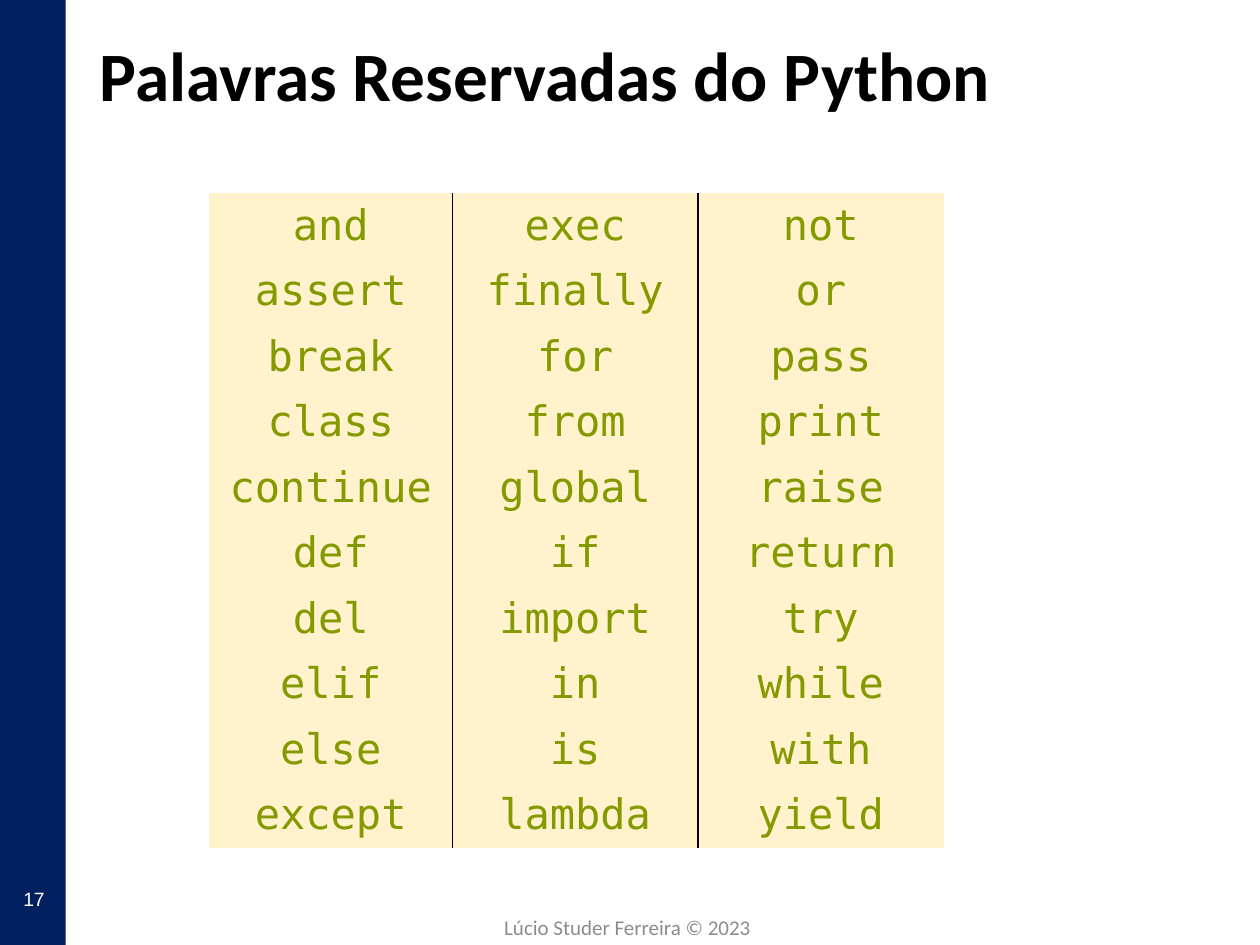
from lxml.etree import SubElement
from pptx import Presentation
from pptx.dml.color import RGBColor
from pptx.enum.shapes import MSO_SHAPE
from pptx.enum.text import MSO_ANCHOR, PP_ALIGN
from pptx.oxml.ns import qn
from pptx.util import Inches, Pt

NAVY = RGBColor(0x00, 0x20, 0x60)
WHITE = RGBColor(0xFF, 0xFF, 0xFF)
BLACK = RGBColor(0x00, 0x00, 0x00)
GREY = RGBColor(0x8C, 0x8C, 0x8C)
CREAM = RGBColor(0xFF, 0xF2, 0xCC)
OLIVE = RGBColor(0x85, 0x99, 0x00)

NO_STYLE_NO_GRID = "{2D5ABB26-0587-4C30-8999-92F81FD0307C}"
COLUMN_WIDTHS = (1.93, 1.95, 1.95)
KEYWORD_COLUMNS = (
    "and assert break class continue def del elif else except".split(),
    "exec finally for from global if import in is lambda".split(),
    "not or pass print raise return try while with yield".split(),
)


def write(frame, text, font, size, color, align=PP_ALIGN.CENTER, bold=False):
    frame.text = text
    para = frame.paragraphs[0]
    para.alignment = align
    span = para.runs[0]
    span.font.name = font
    span.font.size = Pt(size)
    span.font.bold = bold
    span.font.color.rgb = color
    return para


def add_side_band(slide, left, top, width, height):
    band = slide.shapes.add_shape(
        MSO_SHAPE.ROUNDED_RECTANGLE, Inches(left), Inches(top), Inches(width), Inches(height))
    band.adjustments[0] = 0
    band.shadow.inherit = False
    band.fill.solid()
    band.fill.fore_color.rgb = NAVY
    band.line.fill.background()


def add_label(slide, left, top, width, height, text, font, size, color, anchor):
    box = slide.shapes.add_textbox(Inches(left), Inches(top), Inches(width), Inches(height))
    box.text_frame.word_wrap = True
    box.text_frame.vertical_anchor = anchor
    return write(box.text_frame, text, font, size, color)


def place_title(slide, left, top, width, height, text):
    title = slide.shapes.title
    title.left, title.top = Inches(left), Inches(top)
    title.width, title.height = Inches(width), Inches(height)
    title.text_frame.vertical_anchor = MSO_ANCHOR.MIDDLE
    para = write(title.text_frame, text, "Calibri", 39.6, BLACK, PP_ALIGN.LEFT, bold=True)
    para.line_spacing = 0.9


def add_side_border(cell, tag, position):
    """Draw a thin black line on one side of a cell."""
    properties = cell._tc.get_or_add_tcPr()
    line = properties.makeelement(qn(tag), {"w": str(Pt(1))})
    fill = SubElement(line, qn("a:solidFill"))
    SubElement(fill, qn("a:srgbClr"), val=str(BLACK))
    properties.insert(position, line)


def add_keyword_table(slide, left, top, width, height):
    row_count, column_count = len(KEYWORD_COLUMNS[0]), len(KEYWORD_COLUMNS)
    table = slide.shapes.add_table(
        row_count, column_count, Inches(left), Inches(top), Inches(width), Inches(height)).table
    table.first_row = table.horz_banding = False
    table._tbl.tblPr.find(qn("a:tableStyleId")).text = NO_STYLE_NO_GRID

    for column, column_width in zip(table.columns, COLUMN_WIDTHS):
        column.width = Inches(column_width)
    for column, keywords in enumerate(KEYWORD_COLUMNS):
        for row, keyword in enumerate(keywords):
            cell = table.cell(row, column)
            cell.margin_left = cell.margin_right = Inches(0.06)
            cell.margin_top = cell.margin_bottom = Inches(0.06)
            cell.vertical_anchor = MSO_ANCHOR.MIDDLE
            cell.fill.solid()
            cell.fill.fore_color.rgb = CREAM
            write(cell.text_frame, keyword, "DejaVu Sans Mono", 24, OLIVE)
            # Only the lines between columns are drawn
            if column < column_count - 1:
                add_side_border(cell, "a:lnR", 0)
            if column > 0:
                add_side_border(cell, "a:lnL", 0)


def main():
    deck = Presentation()
    deck.slide_width, deck.slide_height = Inches(10), Inches(7.5)
    slide = deck.slides.add_slide(deck.slide_layouts[5])

    # Side band with page number
    add_side_band(slide, 0, 0, 0.52, 7.53)
    number = add_label(slide, 0.03, 6.99, 0.48, 0.29, "17", "Arial", 11, WHITE, MSO_ANCHOR.TOP)
    number.space_before = Pt(5.5)

    # Footer
    add_label(slide, 3.29, 7.16, 3.38, 0.4, "Lúcio Studer Ferreira © 2023",
              "Calibri", 12, GREY, MSO_ANCHOR.MIDDLE)

    # Title and keywords
    place_title(slide, 0.69, 0.32, 9.18, 0.61, "Palavras Reservadas do Python")
    add_keyword_table(slide, 1.66, 1.53, sum(COLUMN_WIDTHS), 5.14)

    deck.save("out.pptx")


if __name__ == "__main__":
    main()
